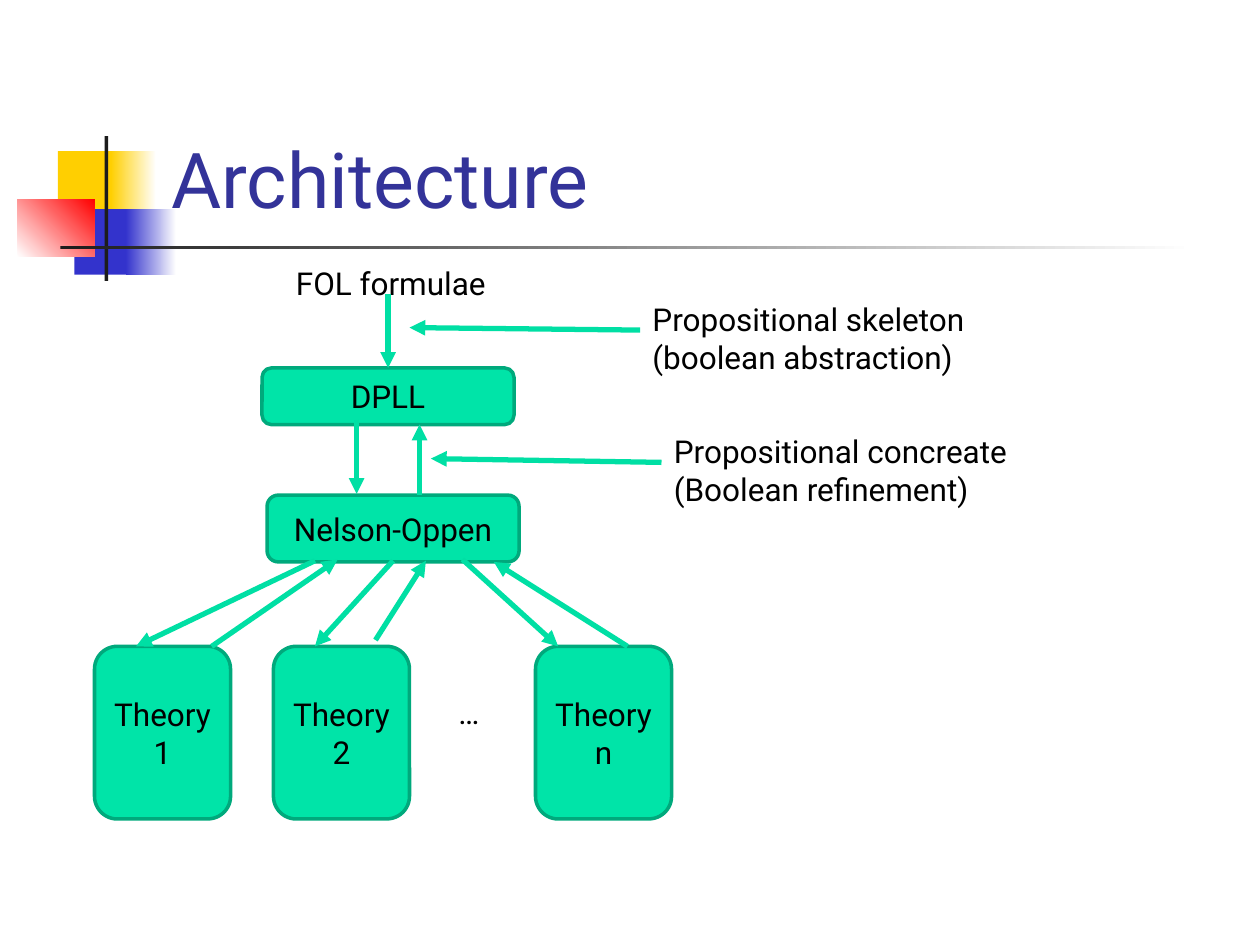
from lxml.etree import SubElement
from pptx import Presentation
from pptx.dml.color import RGBColor
from pptx.enum.shapes import MSO_CONNECTOR, MSO_SHAPE
from pptx.enum.text import MSO_ANCHOR, MSO_AUTO_SIZE, PP_ALIGN
from pptx.oxml.ns import qn
from pptx.util import Inches, Pt

FONT = "Roboto"
BLACK, BOX_FILL, BOX_LINE, ARROW = "000000", "00E4A8", "00A97C", "00DFA4"
TITLE = "Architecture"
ORNAMENTS = [
    ((0.46, 1.2, 0.48, 0.52), ["FFCF01"], 0),
    ((0.88, 1.2, 0.36, 0.52), ["FFCF01", "FFFFFF"], 0),
    ((0.59, 1.66, 0.46, 0.52), ["3333CC"], 0),
    ((1, 1.66, 0.4, 0.52), ["3333CC", "FFFFFF"], 0),
    ((0.14, 1.58, 0.61, 0.46), ["FFFFFF", "FF0000"], 45),
    ((0.83, 1.08, 0.03, 1.15), ["1C1C1C"], 0),
    ((0.48, 1.95, 9, 0.03), ["1C1C1C", "FFFFFF"], 0),
]
SOLVERS = [
    (["DPLL"], (2.08, 2.92, 2, 0.45)),
    (["Nelson-Oppen"], (2.12, 3.93, 2, 0.53)),
]
THEORIES = [("1", 0.75), ("2", 2.17), ("n", 4.25)]
LABELS = [
    (["FOL formulae"], (2.25, 2.05, 1.92, 0.4)),
    (["Propositional skeleton (boolean abstraction)"], (5.08, 2.33, 3.17, 0.71)),
    (["Propositional concreate", "(Boolean refinement)"], (5.25, 3.38, 3, 0.71)),
    (["…"], (3.54, 5.45, 1.42, 0.4)),
]
ARROWS = [
    ((3.08, 2.33), (3.08, 2.92)),
    ((2.83, 3.33), (2.83, 3.92)),
    ((3.33, 3.93), (3.33, 3.37)),
    ((5.08, 2.62), (3.25, 2.6)),
    ((5.25, 3.67), (3.42, 3.64)),
    ((2.5, 4.45), (1.08, 5.13)),
    ((1.68, 5.13), (2.68, 4.44)),
    ((3.12, 4.45), (2.5, 5.13)),
    ((2.98, 5.08), (3.38, 4.45)),
    ((3.67, 4.44), (4.43, 5.13)),
    ((4.98, 5.13), (3.92, 4.46)),
]


def paint(color_format, color):
    """Set a colour from a hex string."""
    color_format.rgb = RGBColor.from_string(color)


def write(sp, lines, size=18, color=BLACK, align=PP_ALIGN.LEFT, anchor=MSO_ANCHOR.TOP):
    """Write one paragraph per line into a shape."""
    tf = sp.text_frame
    tf.word_wrap = True
    tf.auto_size = MSO_AUTO_SIZE.NONE
    tf.vertical_anchor = anchor
    for i, line in enumerate(lines):
        p = tf.add_paragraph() if i else tf.paragraphs[0]
        p.alignment = align
        r = p.add_run()
        r.text = line
        r.font.name, r.font.size = FONT, Pt(size)
        paint(r.font.color, color)


def add_ornament(s, at, colors, angle):
    """Add a borderless rectangle with a solid or gradient fill."""
    sp = s.shapes.add_shape(MSO_SHAPE.RECTANGLE, *map(Inches, at))
    sp.shadow.inherit = False
    sp.line.fill.background()
    if len(colors) == 1:
        sp.fill.solid()
        paint(sp.fill.fore_color, colors[0])
        return
    sp.fill.gradient()
    sp.fill.gradient_angle = angle
    for stop, color in zip(sp.fill.gradient_stops, colors):
        paint(stop.color, color)


def add_box(s, lines, at):
    """Add a rounded green box with centred text."""
    sp = s.shapes.add_shape(MSO_SHAPE.ROUNDED_RECTANGLE, *map(Inches, at))
    sp.shadow.inherit = False
    sp.fill.solid()
    paint(sp.fill.fore_color, BOX_FILL)
    paint(sp.line.color, BOX_LINE)
    sp.line.width = Pt(2)
    write(sp, lines, align=PP_ALIGN.CENTER, anchor=MSO_ANCHOR.MIDDLE)


def add_arrow(s, start, end):
    """Add a straight arrow pointing at its end."""
    line = s.shapes.add_connector(MSO_CONNECTOR.STRAIGHT, *map(Inches, start + end))
    paint(line.line.color, ARROW)
    line.line.width = Pt(3)
    SubElement(line.line._get_or_add_ln(), qn("a:tailEnd"), type="triangle")
    SubElement(line.element.spPr, qn("a:effectLst"))


def main():
    """Build the architecture slide."""
    prs = Presentation()
    prs.slide_width, prs.slide_height = Inches(10), Inches(7.5)
    s = prs.slides.add_slide(prs.slide_layouts[5])
    for ornament in ORNAMENTS:
        add_ornament(s, *ornament)

    title = s.shapes.title
    title.left, title.top, title.width, title.height = map(Inches, (1.26, 0.23, 8.52, 1.6))
    write(title, [TITLE], 44, "333399", anchor=MSO_ANCHOR.BOTTOM)
    title.element.getparent().append(title.element)

    theories = [(["Theory", name], (x, 5.13, 1.08, 1.37)) for name, x in THEORIES]
    for lines, at in SOLVERS + theories:
        add_box(s, lines, at)
    for lines, at in LABELS:
        write(s.shapes.add_textbox(*map(Inches, at)), lines)
    for start, end in ARROWS:
        add_arrow(s, start, end)
    prs.save("out.pptx")


if __name__ == "__main__":
    main()
